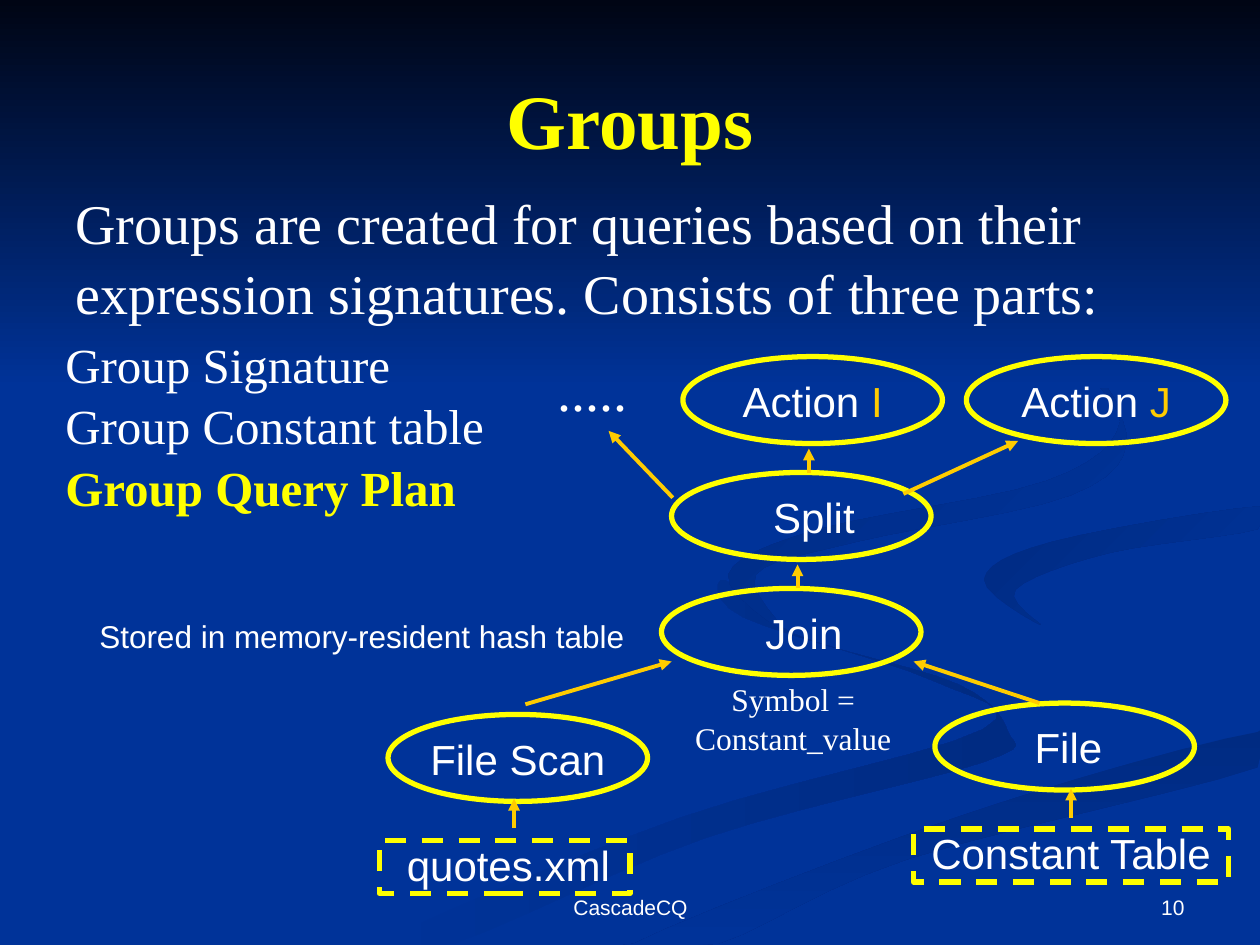
from lxml import etree
from pptx import Presentation
from pptx.dml.color import RGBColor
from pptx.enum.dml import MSO_LINE
from pptx.enum.shapes import MSO_CONNECTOR, MSO_SHAPE
from pptx.enum.text import MSO_ANCHOR, PP_ALIGN
from pptx.oxml.ns import qn
from pptx.util import Inches, Pt

LEFT, CENTER, RIGHT = PP_ALIGN.LEFT, PP_ALIGN.CENTER, PP_ALIGN.RIGHT
TOP, MIDDLE, BOTTOM = MSO_ANCHOR.TOP, MSO_ANCHOR.MIDDLE, MSO_ANCHOR.BOTTOM
OVAL, RECT = MSO_SHAPE.OVAL, MSO_SHAPE.RECTANGLE
STRAIGHT, DASH = MSO_CONNECTOR.STRAIGHT, MSO_LINE.DASH

SERIF, SANS = "Times New Roman", "Arial"
COLORS = {
    "blue": "003399", "night": "000514", "yellow": "FFFF00",
    "gold": "FFCC00", "white": "FFFFFF", "shade": "002B82",
}


def rgb(name):
    return RGBColor.from_string(COLORS[name])


def smooth(points, steps=6):
    """Closed Catmull-Rom curve through the points."""
    curve = []
    for i, p1 in enumerate(points):
        p0, p2, p3 = (points[(i + k) % len(points)] for k in (-1, 1, 2))
        for t in (n / steps for n in range(steps)):
            curve.append(tuple(
                b + t * ((c - a) + t * ((2 * a - 5 * b + 4 * c - d)
                                        + t * (3 * b - a - 3 * c + d))) / 2
                for a, b, c, d in zip(p0, p1, p2, p3)))
    return curve


class SlideBuilder:
    def __init__(self, slide):
        self.s = slide
        slide.background.fill.solid()
        slide.background.fill.fore_color.rgb = rgb("blue")

    def gradient(self, sp, start, end, angle):
        sp.shadow.inherit = False
        sp.line.fill.background()
        sp.fill.gradient()
        sp.fill.gradient_angle = (360 - angle) % 360
        for stop, color in zip(sp.fill.gradient_stops, (start, end)):
            stop.color.rgb = rgb(color)

    def ribbon(self, points, start, end, angle):
        pts = [(Inches(min(x, 10)), Inches(min(y, 7.5))) for x, y in smooth(points)]
        fb = self.s.shapes.build_freeform(*pts[0])
        fb.add_line_segments(pts[1:], close=True)
        self.gradient(fb.convert_to_shape(), start, end, angle)

    def shape(self, kind, x, y, w, h):
        sp = self.s.shapes.add_shape(kind, Inches(x), Inches(y), Inches(w), Inches(h))
        sp.shadow.inherit = False
        return sp

    def outline(self, kind, x, y, w, h):
        sp = self.shape(kind, x, y, w, h)
        sp.fill.background()
        sp.line.color.rgb = rgb("yellow")
        sp.line.width = Pt(3)
        if kind == RECT:
            sp.line.dash_style = DASH

    def arrow(self, x1, y1, x2, y2):
        c = self.s.shapes.add_connector(
            STRAIGHT, Inches(x1), Inches(y1), Inches(x2), Inches(y2))
        c.line.color.rgb = rgb("gold")
        c.line.width = Pt(2.25)
        etree.SubElement(c.line._get_or_add_ln(), qn("a:tailEnd"), type="triangle")
        etree.SubElement(c._element.spPr, qn("a:effectLst"))

    def text(self, x, y, w, h, paragraphs, size, font=SANS, align=LEFT,
             anchor=TOP, wrap=True):
        """Each paragraph is a list of (text, color) runs; yellow is bold."""
        tf = self.s.shapes.add_textbox(
            Inches(x), Inches(y), Inches(w), Inches(h)).text_frame
        tf.word_wrap = wrap
        tf.vertical_anchor = anchor
        for i, runs in enumerate(paragraphs):
            p = tf.paragraphs[0] if i == 0 else tf.add_paragraph()
            p.alignment = align
            p.line_spacing = 1.05
            for content, color in runs:
                r = p.add_run()
                r.text = content
                r.font.name = font
                r.font.size = Pt(size)
                r.font.bold = color == "yellow"
                r.font.color.rgb = rgb(color)


# Background ribbons: points, start color, end color, angle
RIBBONS = [
    ([(7.6, 5.43), (6.3, 5.03), (5.75, 4.6), (5.9, 4.9), (7.4, 5.4),
      (7.8, 5.79), (5.4, 6.49), (3, 7.49), (3.6, 7.49), (5.6, 6.65),
      (7.8, 6.05), (8, 5.81)], "blue", "shade", 0),
    ([(5.03, 7.49), (5.7, 7.49), (7.2, 6.82), (9.98, 6.09), (9.98, 5.81),
      (7.64, 6.47)], "shade", "blue", 90),
    ([(7.81, 4.6), (8.26, 4.96), (8.06, 4.68), (8.8, 4.39), (9.98, 4.2),
      (9.98, 4.02), (8.35, 4.3)], "shade", "blue", 45),
    ([(6.8, 4.3), (8.5, 3.93), (8.94, 3.44), (8.4, 2.75), (7.62, 2.33),
      (8.5, 2.8), (8.89, 3.35), (8.3, 3.82), (6.5, 4.2), (5.78, 4.56),
      (6.22, 5), (6, 4.56)], "shade", "blue", 45),
]

# Plan operators: left, top, shift of the label's centre, label runs
OPERATORS = [
    (5.42, 2.83, 0, [("Action ", "white"), ("I", "gold")]),
    (7.67, 2.83, 0, [("Action ", "white"), ("J", "gold")]),
    (5.33, 3.75, 0.1, [("Split", "white")]),
    (5.25, 4.67, 0.1, [("Join", "white")]),
    (7.42, 5.58, 0.03, [("File", "white")]),
    (3.08, 5.67, 0, [("File Scan", "white")]),
]
OVAL_W, OVAL_H = 2.06, 0.69
LABEL_W, LABEL_H = 2.5, 0.5

# Data sources: left, top, width, shift of the label's centre, label
SOURCES = [
    (3.01, 6.67, 1.99, 0.03, "quotes.xml"),
    (7.25, 6.58, 2.5, 0, "Constant Table"),
]

# Upright arrows: x, start y, rise
UPRIGHT = [(4.08, 6.57, 0.23), (8.5, 6.49, 0.23),
           (6.33, 4.67, 0.19), (6.42, 3.75, 0.19)]
SLANTED = [(4.17, 5.59, 5.33, 5.25), (8.25, 5.58, 7.25, 5.25),
           (5.34, 3.95, 4.83, 3.42), (7.17, 3.92, 8.08, 3.5)]


def main():
    prs = Presentation()
    prs.slide_width, prs.slide_height = Inches(10), Inches(7.5)
    b = SlideBuilder(prs.slides.add_slide(prs.slide_layouts[6]))

    # Background
    for ribbon in RIBBONS:
        b.ribbon(*ribbon)
    b.gradient(b.shape(RECT, 0, 0, 10, 3.08), "night", "blue", 90)

    # Footer
    b.text(7.17, 6.83, 2.33, 0.52, [[("10", "white")]], 12, align=RIGHT, anchor=BOTTOM)
    b.text(3.42, 6.83, 3.17, 0.52, [[("CascadeCQ", "white")]], 12,
           align=CENTER, anchor=BOTTOM)

    # Title and body
    b.text(0.5, 0.3, 9, 1.25, [[("Groups", "yellow")]], 44, SERIF, CENTER, MIDDLE)
    b.text(0.5, 1.42, 9, 1.7,
           [[("Groups are created for queries based on their expression "
              "signatures. Consists of three parts:", "white")]], 32, SERIF)
    b.text(0.42, 2.58, 4.58, 1.97,
           [[("Group Signature", "white")], [("Group Constant table", "white")],
            [("Group Query Plan", "yellow")]], 28, SERIF)

    # Query plan
    for x, y, shift, runs in OPERATORS:
        b.outline(OVAL, x, y, OVAL_W, OVAL_H)
        b.text(x + (OVAL_W - LABEL_W) / 2 + shift, y + 0.08, LABEL_W, LABEL_H,
               [runs], 24, align=CENTER)
    for x, y, w, shift, label in SOURCES:
        b.outline(RECT, x, y, w, 0.42)
        b.text(x + (w - LABEL_W) / 2 + shift, y - 0.08, LABEL_W, LABEL_H,
               [[(label, "white")]], 24, align=CENTER)
    for x, y, rise in UPRIGHT:
        b.arrow(x, y, x, y - rise)
    for ends in SLANTED:
        b.arrow(*ends)

    # Annotations
    b.text(4.92, 5.33, 2.75, 0.7, [[("Symbol = Constant_value", "white")]], 18,
           SERIF, CENTER)
    b.text(4.33, 2.75, 0.83, 0.64, [[(".....", "white")]], 32, SERIF)
    b.text(0.69, 4.83, 4.37, 0.4,
           [[("Stored in memory-resident hash table", "white")]], 18, wrap=False)

    prs.save("out.pptx")


if __name__ == "__main__":
    main()
